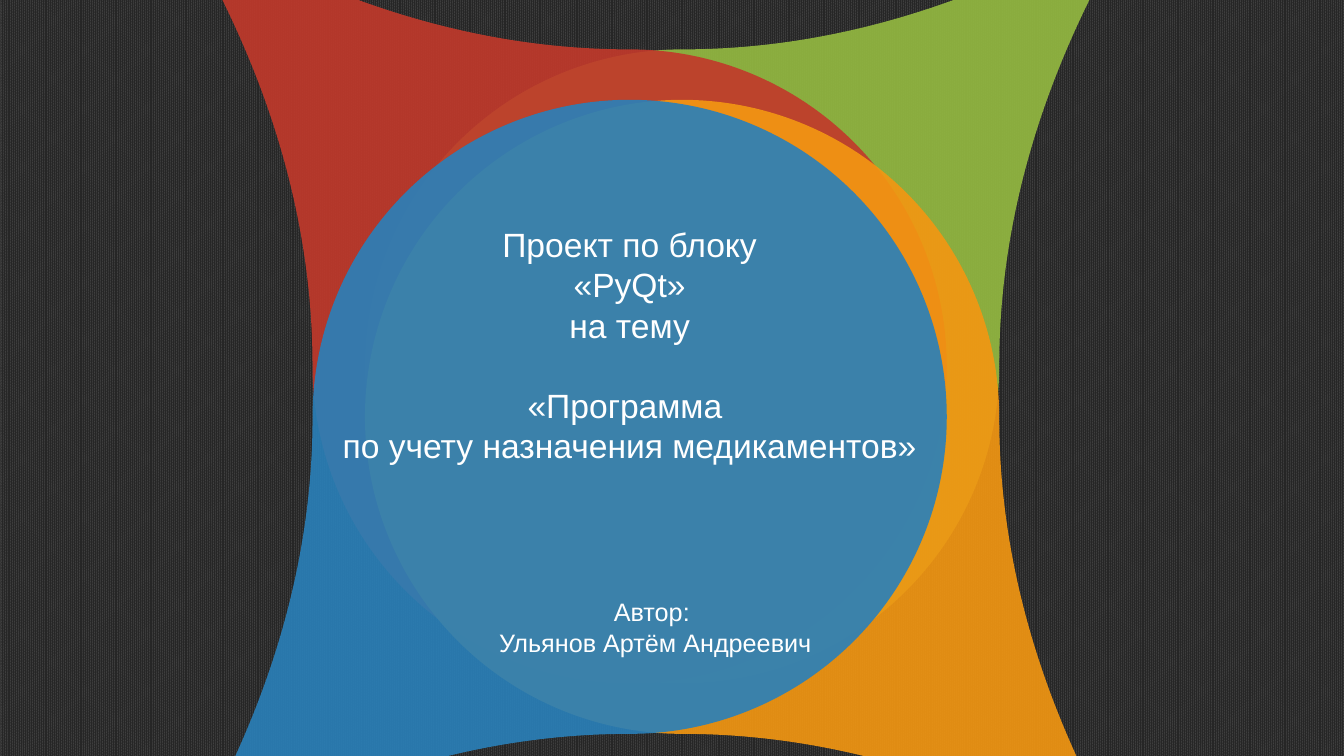
from lxml import etree
from pptx import Presentation
from pptx.dml.color import RGBColor
from pptx.enum.dml import MSO_PATTERN
from pptx.enum.shapes import MSO_SHAPE
from pptx.enum.text import MSO_ANCHOR, MSO_AUTO_SIZE, PP_ALIGN
from pptx.oxml.ns import qn
from pptx.util import Inches, Pt

TEARDROP = MSO_SHAPE.TEAR
DENSE_DOTS = MSO_PATTERN.PERCENT_90
CENTER = PP_ALIGN.CENTER
TOP = MSO_ANCHOR.TOP
NO_AUTOFIT = MSO_AUTO_SIZE.NONE

DIAMETER = 6.29
LEFT, RIGHT = 3.1, 3.62
UPPER, LOWER = 0.49, 0.99
OPACITY = 91000


def rgb(code):
    return RGBColor.from_string(code)


def write_lines(box, bounds, lines, size):
    """Place a placeholder in front of the petals and fill it with white centred lines."""
    box.left, box.top, box.width, box.height = map(Inches, bounds)
    box.element.getparent().append(box.element)
    frame = box.text_frame
    frame.text = "\n".join(lines)
    frame.word_wrap = True
    frame.auto_size = NO_AUTOFIT
    frame.vertical_anchor = TOP
    for para in frame.paragraphs:
        para.alignment = CENTER
        para.space_before = Pt(0)
        para.font.name = "Arial"
        para.font.size = Pt(size)
        para.font.color.rgb = rgb("FFFFFF")
    return frame.paragraphs


deck = Presentation()
deck.slide_width, deck.slide_height = Inches(13.33), Inches(7.5)
page = deck.slides.add_slide(deck.slide_layouts[0])

backdrop = page.background.fill
backdrop.patterned()
backdrop.pattern = DENSE_DOTS
backdrop.fore_color.rgb = rgb("262626")
backdrop.back_color.rgb = rgb("404040")

# Four overlapping petals, each pointing to its own corner of the slide
petals = [
    (RIGHT, UPPER, 0, "94BA41"),
    (LEFT, UPPER, 270, "C1392B"),
    (RIGHT, LOWER, 90, "F39712"),
    (LEFT, LOWER, 180, "2A80B9"),
]
for left, top, angle, color in petals:
    petal = page.shapes.add_shape(
        TEARDROP, Inches(left), Inches(top), Inches(DIAMETER), Inches(DIAMETER))
    petal.adjustments[0] = 1.443
    petal.rotation = angle
    petal.shadow.inherit = False
    petal.line.fill.background()
    petal.fill.solid()
    petal.fill.fore_color.rgb = rgb(color)
    tint = petal.element.spPr.find(qn("a:solidFill")).find(qn("a:srgbClr"))
    etree.SubElement(tint, qn("a:alpha")).set("val", str(OPACITY))

title_lines = ["Проект по блоку", "«PyQt»", "на тему",
               "«Программа ", "по учету назначения медикаментов»"]
title_paras = write_lines(page.shapes.title, (2.66, 2.17, 7.17, 2.52), title_lines, 24)
title_paras[3].space_before = Pt(28.8)

author_lines = ["Автор:", " Ульянов Артём Андреевич"]
write_lines(page.placeholders[1], (3.41, 5.87, 6.11, 0.71), author_lines, 18)

deck.save("out.pptx")
